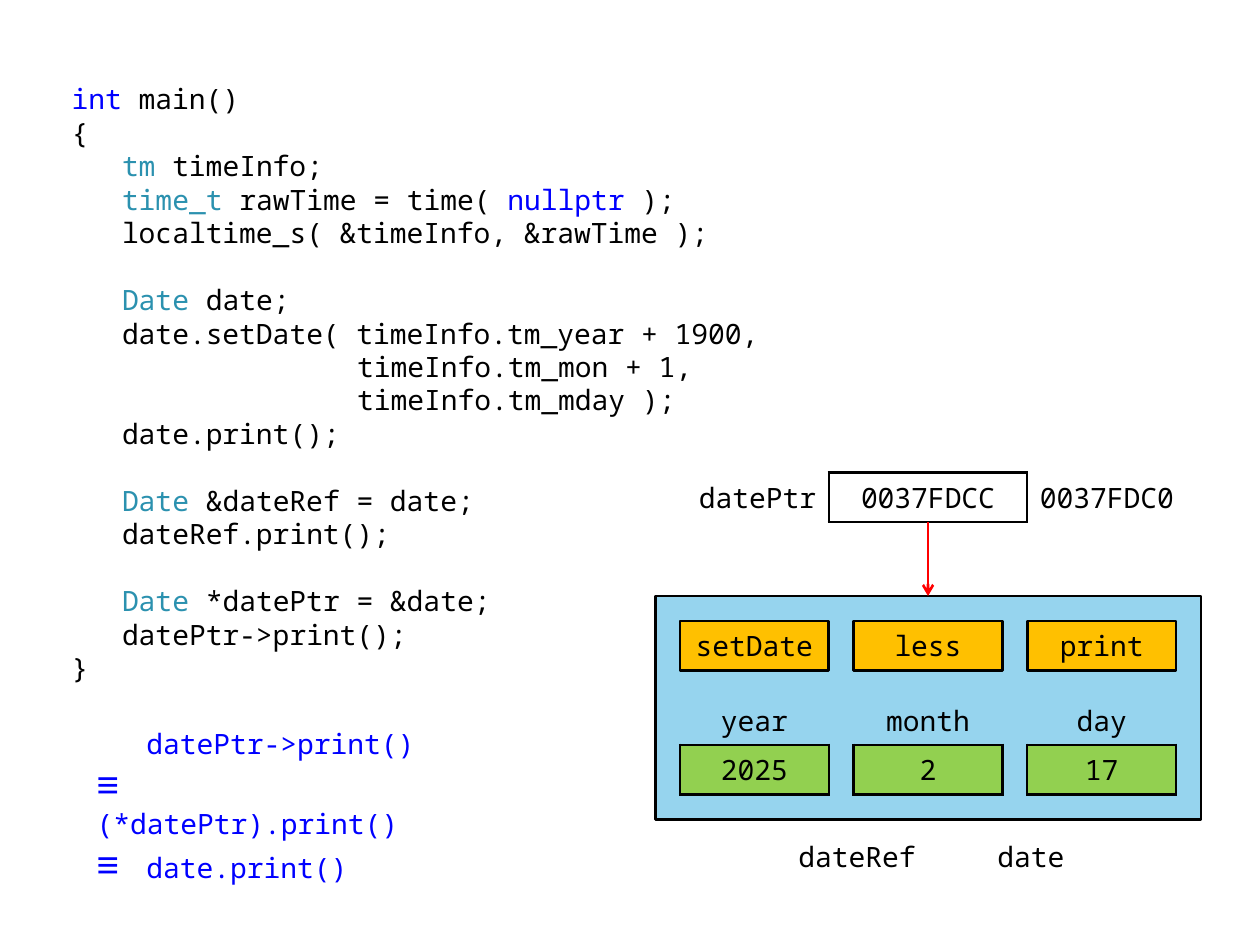
from lxml import etree
from pptx import Presentation
from pptx.dml.color import RGBColor
from pptx.enum.shapes import MSO_CONNECTOR, MSO_SHAPE
from pptx.enum.text import MSO_ANCHOR, PP_ALIGN
from pptx.oxml.ns import qn
from pptx.util import Pt

STRAIGHT, PROCESS = MSO_CONNECTOR.STRAIGHT, MSO_SHAPE.FLOWCHART_PROCESS
TOP, MIDDLE = MSO_ANCHOR.TOP, MSO_ANCHOR.MIDDLE
LEFT, CENTER, RIGHT = PP_ALIGN.LEFT, PP_ALIGN.CENTER, PP_ALIGN.RIGHT
MONO, SANS = "Noto Sans Mono", "Arial"
BLACK, BLUE, TEAL, RED = "000000", "0000FF", "2B91AF", "FF0000"
SKY, AMBER, GREEN = "96D4EE", "FFC000", "92D050"
NO_STYLE = "{2D5ABB26-0587-4C30-8999-92F81FD0307C}"
SIDES = ("L", "R", "T", "B")
CM = 28.35
CHAR = 9.6
CODE_PITCH = 19.15
OBJECT_X, OBJECT_Y, OBJECT_W = 374.4, 340.6, 11 * CM
POINTER_Y = 270

CODE = [
    (0, False, [("int", BLUE), " main()"]),
    (0, False, ["{"]),
    (3, False, [("tm ", TEAL), "timeInfo;"]),
    (3, False, [("time_t ", TEAL), "rawTime = time( ", ("nullptr", BLUE), " );"]),
    (3, False, ["localtime_s( &timeInfo, &rawTime );"]),
    (3, True, [("Date", TEAL), " date;"]),
    (3, False, ["date.setDate( timeInfo.tm_year + 1900,"]),
    (17, False, ["timeInfo.tm_mon + 1,"]),
    (17, False, ["timeInfo.tm_mday );"]),
    (3, False, ["date.print();"]),
    (3, True, [("Date", TEAL), " &dateRef = date;"]),
    (3, False, ["dateRef.print();"]),
    (3, True, [("Date", TEAL), " *datePtr = &date;"]),
    (3, False, ["datePtr->print();"]),
    (0, False, ["}"]),
]
EQUIVALENTS = [("", "datePtr->print()"), ("≡", "(*datePtr).print()"), ("≡", "date.print()")]
MEMBERS = [("setDate", "year", "2025"), ("less", "month", "2"), ("print", "day", "17")]


def rgb(value):
    """Turn a hex string into a colour."""
    return RGBColor.from_string(value)


def add_run(p, text, size=16, font=MONO, color=BLACK):
    """Append formatted text to a paragraph."""
    r = p.add_run()
    r.text = text
    r.font.size = Pt(size)
    r.font.name = font
    r.font.color.rgb = rgb(color)


def next_paragraph(tf):
    """Return the empty first paragraph, or a new one."""
    first = tf.paragraphs[0]
    return tf.add_paragraph() if first.runs else first


def add_box(s, x, y, w, h, anchor=TOP):
    """Add a wrapping text box and return its text frame."""
    tf = s.shapes.add_textbox(Pt(x), Pt(y), Pt(w), Pt(h)).text_frame
    tf.word_wrap = True
    tf.vertical_anchor = anchor
    return tf


def add_label(s, text, x, y, w, h):
    """Add a right-aligned one-line label."""
    p = add_box(s, x, y, w, h, MIDDLE).paragraphs[0]
    p.alignment = RIGHT
    add_run(p, text)


def add_process(s, x, y, w, h, fill, text=""):
    """Add an outlined rectangle with optional centred text."""
    sp = s.shapes.add_shape(PROCESS, Pt(x), Pt(y), Pt(w), Pt(h))
    sp.shadow.inherit = False
    sp.fill.solid()
    sp.fill.fore_color.rgb = rgb(fill)
    sp.line.color.rgb = rgb(BLACK)
    sp.line.width = Pt(1.5)
    if text:
        tf = sp.text_frame
        tf.vertical_anchor = MIDDLE
        tf.paragraphs[0].alignment = CENTER
        add_run(tf.paragraphs[0], text)


def add_table(s, x, y, widths, rows):
    """Add an unstyled table with rows one centimetre high."""
    frame = s.shapes.add_table(len(rows), len(widths), Pt(x), Pt(y),
                               Pt(sum(widths)), Pt(CM * len(rows)))
    table = frame.table
    table.first_row = table.horz_banding = False
    next(frame.element.iter(qn("a:tableStyleId"))).text = NO_STYLE
    for column, width in zip(table.columns, widths):
        column.width = Pt(width)
    for row, contents in zip(table.rows, rows):
        row.height = Pt(CM)
        for cell, content in zip(row.cells, contents):
            fill_cell(cell, **content)
    return table


def fill_cell(cell, text, align=CENTER, fill=None, sides="", margin=3.6):
    """Write a cell and draw its borders."""
    cell.vertical_anchor = MIDDLE
    cell.margin_top = cell.margin_bottom = Pt(margin)
    p = cell.text_frame.paragraphs[0]
    p.alignment = align
    add_run(p, text)
    if fill:
        cell.fill.solid()
        cell.fill.fore_color.rgb = rgb(fill)
    else:
        cell.fill.background()
    tc_pr = cell._tc.get_or_add_tcPr()
    for i, side in enumerate(c for c in SIDES if c in sides):
        ln = etree.Element(qn(f"a:ln{side}"), w=str(Pt(1.5)))
        solid = etree.SubElement(ln, qn("a:solidFill"))
        etree.SubElement(solid, qn("a:srgbClr"), val=BLACK)
        tc_pr.insert(i, ln)


def add_arrow(s, x1, y1, x2, y2, color):
    """Add a straight line with an open arrowhead at its end."""
    line = s.shapes.add_connector(STRAIGHT, Pt(x1), Pt(y1), Pt(x2), Pt(y2))
    line.line.color.rgb = rgb(color)
    line.line.width = Pt(1.5)
    etree.SubElement(line.line._get_or_add_ln(), qn("a:tailEnd"), type="arrow")
    etree.SubElement(line.element.spPr, qn("a:effectLst"))


def add_code(s):
    """Add the program listing."""
    tf = add_box(s, 33.85, 43.2, 411, 354)
    for indent, gap, runs in CODE:
        p = next_paragraph(tf)
        p.line_spacing = Pt(CODE_PITCH)
        p.space_before = Pt(CODE_PITCH if gap else 0)
        p._p.get_or_add_pPr().set("marL", str(Pt(indent * CHAR)))
        for run in runs:
            text, color = (run, BLACK) if isinstance(run, str) else run
            add_run(p, text, color=color)


def add_equivalents(s):
    """Add the list of equivalent calls."""
    tf = add_box(s, 48.2, 411.85, 7.5 * CM, 3 * CM)
    for sign, call in EQUIVALENTS:
        p = next_paragraph(tf)
        tabs = etree.SubElement(p._p.get_or_add_pPr(), qn("a:tabLst"))
        etree.SubElement(tabs, qn("a:tab"), pos=str(Pt(CM)), algn="l")
        if sign:
            add_run(p, sign, size=22, font=SANS, color=BLUE)
        add_run(p, "\t", font=SANS, color=BLUE)
        add_run(p, call, color=BLUE)


def add_object(s):
    """Add the object with its functions, data members and names."""
    add_process(s, OBJECT_X, OBJECT_Y, OBJECT_W, 4.5 * CM, SKY)
    for i, (function, member, value) in enumerate(MEMBERS):
        x = OBJECT_X + (0.5 + 3.5 * i) * CM
        add_process(s, x, OBJECT_Y + CM / 2, 3 * CM, CM, AMBER, function)
        add_table(s, x, OBJECT_Y + 2 * CM, [3 * CM], [
            [dict(text=member, sides="B")],
            [dict(text=value, fill=GREEN, sides="LRTB", margin=0)],
        ])
    for text, x, w in (("dateRef", 2.5, 3), ("date", 6.5, 2)):
        add_label(s, text, OBJECT_X + x * CM, OBJECT_Y + 4.5 * CM, w * CM, 1.5 * CM)


def add_pointer(s):
    """Add the pointer variable and its arrow to the object."""
    add_table(s, OBJECT_X, POINTER_Y, [3.5 * CM, 4 * CM, 3.5 * CM], [[
        dict(text="datePtr", align=RIGHT, sides="R"),
        dict(text="0037FDCC", sides="LRTB"),
        dict(text="0037FDC0", align=LEFT, sides="L"),
    ]])
    x = OBJECT_X + OBJECT_W / 2
    add_arrow(s, x, POINTER_Y + CM, x, OBJECT_Y, RED)


def main():
    """Build and save the slide."""
    prs = Presentation()
    prs.slide_width, prs.slide_height = Pt(720), Pt(540)
    s = prs.slides.add_slide(prs.slide_layouts[6])
    add_code(s)
    add_object(s)
    add_pointer(s)
    add_equivalents(s)
    prs.save("out.pptx")


if __name__ == "__main__":
    main()
